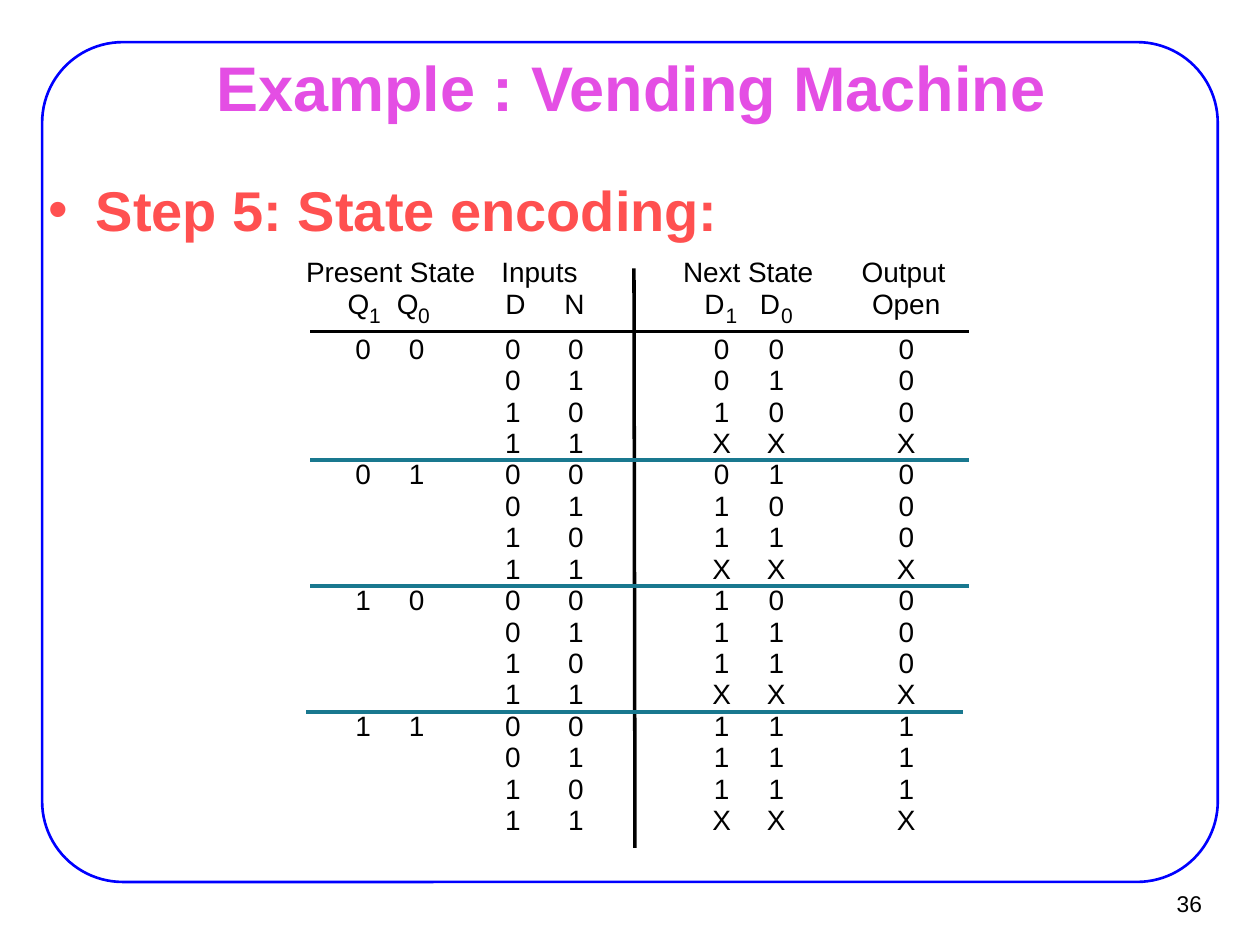
from lxml import etree
from pptx import Presentation
from pptx.dml.color import RGBColor
from pptx.enum.shapes import MSO_CONNECTOR, MSO_SHAPE
from pptx.enum.text import MSO_ANCHOR, MSO_AUTO_SIZE, PP_ALIGN
from pptx.oxml.ns import qn
from pptx.util import Cm, Pt

LEFT, CENTER, RIGHT = PP_ALIGN.LEFT, PP_ALIGN.CENTER, PP_ALIGN.RIGHT
TOP, MIDDLE = MSO_ANCHOR.TOP, MSO_ANCHOR.MIDDLE
NO_AUTOFIT = MSO_AUTO_SIZE.NONE
STRAIGHT = MSO_CONNECTOR.STRAIGHT
ROUNDED = MSO_SHAPE.ROUNDED_RECTANGLE

BLACK, TEAL, BLUE = "000000", "19788F", "0000FF"
PINK, CORAL = "E44EE4", "FF5050"


def color(hex_string):
    return RGBColor.from_string(hex_string)


def write(shape, box, text, size, hex_color=BLACK, align=LEFT, anchor=TOP,
          margins=(0, 0), bold=False):
    """Place the shape at box (cm) and fill it with one formatted run."""
    shape.left, shape.top, shape.width, shape.height = map(Cm, box)
    frame = shape.text_frame
    frame.auto_size = NO_AUTOFIT
    frame.word_wrap = True
    frame.vertical_anchor = anchor
    frame.margin_left = frame.margin_right = Cm(margins[0])
    frame.margin_top = frame.margin_bottom = Cm(margins[1])
    paragraph = frame.paragraphs[0]
    paragraph.alignment = align
    paragraph.space_before = Pt(0)
    run = paragraph.add_run()
    run.text = text
    run.font.name = "Arial"
    run.font.size = Pt(size)
    run.font.bold = bold
    run.font.color.rgb = color(hex_color)


presentation = Presentation()
presentation.slide_width = Cm(25.4)
presentation.slide_height = Cm(19.05)
slide = presentation.slides.add_slide(presentation.slide_layouts[1])
shapes = slide.shapes

# Frame, title, step heading and slide number
frame_shape = shapes.add_shape(ROUNDED, Cm(0.85), Cm(0.85), Cm(23.7), Cm(16.93))
frame_shape.adjustments[0] = 0.096
frame_shape.shadow.inherit = False
frame_shape.fill.background()
frame_shape.line.color.rgb = color(BLUE)
frame_shape.line.width = Pt(1.5)

write(shapes.title, (1.93, 1.12, 21.59, 1.24), "Example : Vending Machine", 36,
      PINK, CENTER, MIDDLE, (0.28, 0.15), True)

body = slide.placeholders[1]
properties = body.text_frame.paragraphs[0]._p.get_or_add_pPr()
properties.set("marL", str(Cm(0.96)))
properties.set("indent", str(-Cm(0.96)))
etree.SubElement(properties, qn("a:buChar")).set("char", "•")
write(body, (0.69, 3.38, 21.59, 4.93), "Step 5: State encoding:", 32,
      CORAL, margins=(0.28, 0.15), bold=True)

write(shapes.add_textbox(0, 0, 0, 0), (22.91, 17.75, 1.55, 0.94), "36", 13,
      align=RIGHT, anchor=MIDDLE, margins=(0.23, 0.1))

# Column headings: text, left, width
GROUP_TOP, NAME_TOP, INDEX_TOP = 5.13, 5.77, 6.1
group_headings = [("Present State", 6.17, 3.58), ("Inputs", 10.11, 1.7),
                  ("Next State", 13.77, 2.79), ("Output", 17.37, 1.85)]
name_headings = [("Q", 7.01, 0.61), ("Q", 8, 0.61), ("D", 10.19, 0.56),
                 ("N", 11.38, 0.56), ("D", 14.2, 0.56), ("D", 15.32, 0.56),
                 ("Open", 17.58, 1.55)]
index_headings = [("1", 7.44, 0.36), ("0", 8.43, 0.36),
                  ("1", 14.63, 0.36), ("0", 15.75, 0.36)]
for headings, top, size in [(group_headings, GROUP_TOP, 16),
                            (name_headings, NAME_TOP, 16),
                            (index_headings, INDEX_TOP, 12)]:
    for text, left, width in headings:
        write(shapes.add_textbox(0, 0, 0, 0), (left, top, width, 0.69), text, size)

# Truth table: for each present state, D1 D0 Open for inputs 00, 01, 10, 11
next_states = {
    "00": ["000", "010", "100", "XXX"],
    "01": ["010", "100", "110", "XXX"],
    "10": ["100", "110", "110", "XXX"],
    "11": ["111", "111", "111", "XXX"],
}
column_centers = [7.32, 8.4, 10.34, 11.61, 14.55, 15.65, 18.27]
FIRST_ROW, LAST_ROW, CELL_WIDTH = 6.68, 16.18, 0.5
row_height = (LAST_ROW - FIRST_ROW) / 15

for block, (present, results) in enumerate(next_states.items()):
    for step, result in enumerate(results):
        top = FIRST_ROW + (4 * block + step) * row_height
        values = (present if step == 0 else "  ") + f"{step:02b}" + result
        for center, value in zip(column_centers, values):
            if value != " ":
                write(shapes.add_textbox(0, 0, 0, 0),
                      (center - CELL_WIDTH / 2, top, CELL_WIDTH, 0.69),
                      value, 16, align=CENTER)

# Rules: from x, from y, to x, to y, colour
rules = [(6.25, 6.68, 19.53, 6.68, BLACK), (12.78, 5.41, 12.8, 17.09, BLACK),
         (6.25, 9.27, 19.53, 9.27, TEAL), (6.25, 11.81, 19.53, 11.81, TEAL),
         (6.17, 14.35, 19.41, 14.35, TEAL)]
for *ends, hex_color in rules:
    rule = shapes.add_connector(STRAIGHT, *map(Cm, ends))
    rule.line.color.rgb = color(hex_color)
    rule.line.width = Pt(2)
    etree.SubElement(rule._element.spPr, qn("a:effectLst"))

presentation.save("out.pptx")
